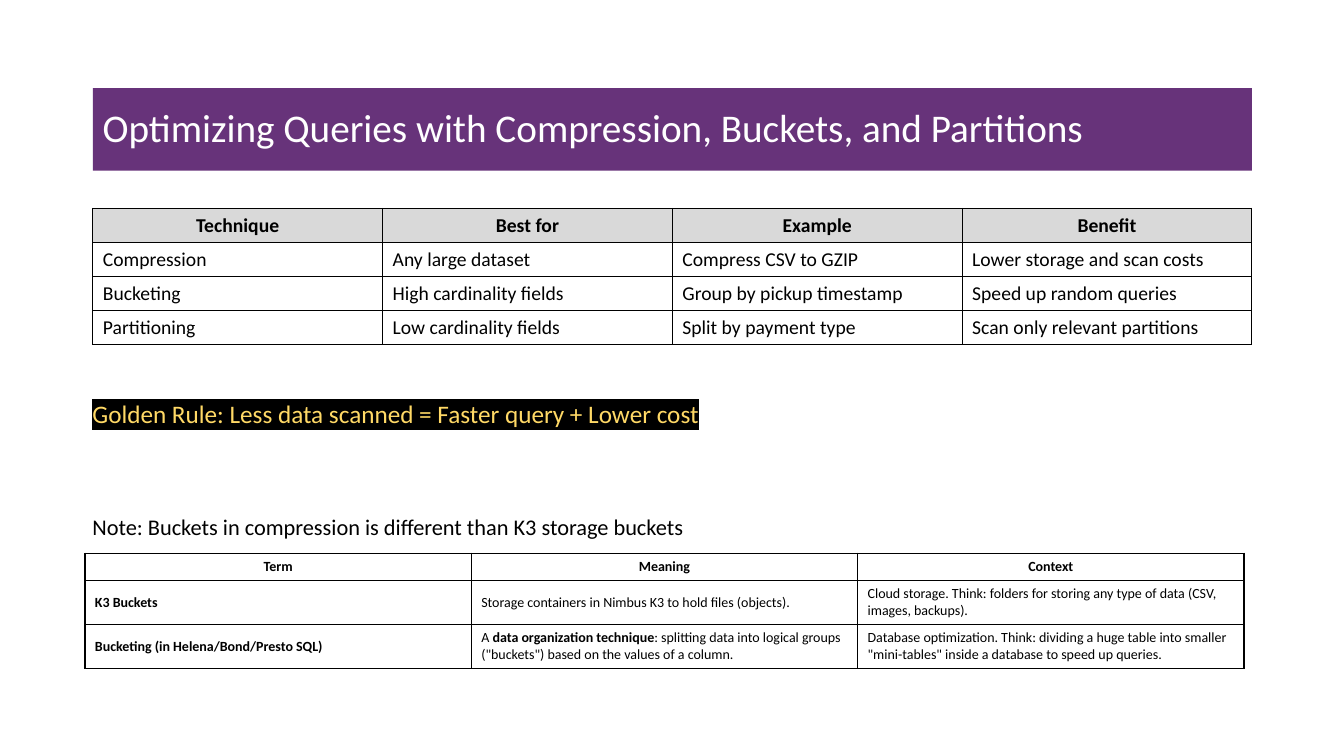
from dataclasses import dataclass

from lxml.etree import SubElement
from pptx import Presentation
from pptx.dml.color import RGBColor
from pptx.enum.shapes import MSO_SHAPE
from pptx.enum.text import MSO_ANCHOR, MSO_AUTO_SIZE, PP_ALIGN
from pptx.oxml.ns import qn
from pptx.util import Cm, Pt

FONT = "Calibri"
PURPLE = RGBColor(0x67, 0x33, 0x7A)
WHITE = RGBColor(0xFF, 0xFF, 0xFF)
BLACK = RGBColor(0x00, 0x00, 0x00)
GOLD = RGBColor(0xFF, 0xD9, 0x66)
GRAY = RGBColor(0xD9, 0xD9, 0xD9)
CONTENT_WIDTH = 29.21
BORDER_SIDES = ("a:lnL", "a:lnR", "a:lnT", "a:lnB")


@dataclass
class Grid:
    left: float
    top: float
    row_heights: list[float]
    rows: list[list[str]]
    size: int
    header_fill: RGBColor | None = None
    bold_first_column: bool = False


@dataclass
class Label:
    top: float
    width: float
    height: float
    text: str
    size: int
    color: RGBColor
    highlight: RGBColor | None = None


GRIDS = [
    Grid(2.34, 5.25, [0.86] * 4, [
        ["Technique", "Best for", "Example", "Benefit"],
        ["Compression", "Any large dataset", "Compress CSV to GZIP", "Lower storage and scan costs"],
        ["Bucketing", "High cardinality fields", "Group by pickup timestamp", "Speed up random queries"],
        ["Partitioning", "Low cardinality fields", "Split by payment type", "Scan only relevant partitions"],
    ], 14, header_fill=GRAY),
    Grid(2.14, 13.94, [0.68, 1.11, 1.11], [
        ["Term", "Meaning", "Context"],
        ["K3 Buckets",
         "Storage containers in Nimbus K3 to hold files (objects).",
         "Cloud storage. Think: folders for storing any type of data (CSV, images, backups)."],
        ["Bucketing (in Helena/Bond/Presto SQL)",
         'A **data organization technique**: splitting data into logical groups ("buckets") '
         "based on the values of a column.",
         'Database optimization. Think: dividing a huge table into smaller "mini-tables" '
         "inside a database to speed up queries."],
    ], 10, bold_first_column=True),
]

LABELS = [
    Label(9.91, 16.94, 1.02, "Golden Rule: Less data scanned = Faster query + Lower cost",
          18, GOLD, highlight=BLACK),
    Label(12.8, 18.54, 0.94, "Note: Buckets in compression is different than K3 storage buckets",
          16, BLACK),
]


def style_run(r, size: int, color: RGBColor, bold: bool = False) -> None:
    r.font.name = FONT
    r.font.size = Pt(size)
    r.font.bold = bold
    r.font.color.rgb = color


def add_borders(cell) -> None:
    tc_pr = cell._tc.get_or_add_tcPr()
    for i, side in enumerate(BORDER_SIDES):
        ln = SubElement(tc_pr, qn(side), w=str(Pt(1)))
        fill = SubElement(ln, qn("a:solidFill"))
        SubElement(fill, qn("a:srgbClr"), val=str(BLACK))
        tc_pr.insert(i, ln)


def add_title(s, text: str) -> None:
    sp = s.shapes.add_shape(MSO_SHAPE.RECTANGLE, Cm(2.34), Cm(2.22), Cm(CONTENT_WIDTH), Cm(2.08))
    sp.shadow.inherit = False
    sp.fill.solid()
    sp.fill.fore_color.rgb = PURPLE
    sp.line.fill.background()
    tf = sp.text_frame
    tf.text = text
    tf.word_wrap = True
    tf.vertical_anchor = MSO_ANCHOR.MIDDLE
    p = tf.paragraphs[0]
    p.alignment = PP_ALIGN.LEFT
    p.line_spacing = 0.9
    style_run(p.runs[0], 28, WHITE)


def add_label(s, label: Label) -> None:
    sp = s.shapes.add_textbox(Cm(2.08), Cm(label.top), Cm(label.width), Cm(label.height))
    tf = sp.text_frame
    tf.text = label.text
    tf.word_wrap = True
    tf.auto_size = MSO_AUTO_SIZE.SHAPE_TO_FIT_TEXT
    r = tf.paragraphs[0].runs[0]
    style_run(r, label.size, label.color)
    if label.highlight is not None:
        r_pr = r.font._element
        highlight = SubElement(r_pr, qn("a:highlight"))
        SubElement(highlight, qn("a:srgbClr"), val=str(label.highlight))
        r_pr.find(qn("a:solidFill")).addnext(highlight)


def fill_cell(cell, text: str, grid: Grid, header: bool, bold: bool) -> None:
    cell.vertical_anchor = MSO_ANCHOR.MIDDLE
    if header and grid.header_fill is not None:
        cell.fill.solid()
        cell.fill.fore_color.rgb = grid.header_fill
    else:
        cell.fill.background()
    add_borders(cell)
    first, *others = text.split("**")
    p = cell.text_frame.paragraphs[0]
    p.text = first
    p.alignment = PP_ALIGN.CENTER if header else PP_ALIGN.LEFT
    for part in others:
        p.add_run().text = part
    for i, r in enumerate(p.runs):
        style_run(r, grid.size, BLACK, bold or i % 2 == 1)


def add_grid(s, grid: Grid) -> None:
    n_rows, n_cols = len(grid.rows), len(grid.rows[0])
    table = s.shapes.add_table(n_rows, n_cols, Cm(grid.left), Cm(grid.top),
                               Cm(CONTENT_WIDTH), Cm(sum(grid.row_heights))).table
    table.first_row = False
    table.horz_banding = False
    for column in table.columns:
        column.width = Cm(CONTENT_WIDTH / n_cols)
    for i, (height, texts) in enumerate(zip(grid.row_heights, grid.rows)):
        table.rows[i].height = Cm(height)
        for j, text in enumerate(texts):
            bold = i == 0 or (grid.bold_first_column and j == 0)
            fill_cell(table.cell(i, j), text, grid, i == 0, bold)


def main() -> None:
    prs = Presentation()
    prs.slide_width, prs.slide_height = Cm(33.87), Cm(19.05)
    s = prs.slides.add_slide(prs.slide_layouts[6])
    add_title(s, "Optimizing Queries with Compression, Buckets, and Partitions")
    for grid in GRIDS:
        add_grid(s, grid)
    for label in LABELS:
        add_label(s, label)
    prs.save("out.pptx")


if __name__ == "__main__":
    main()
